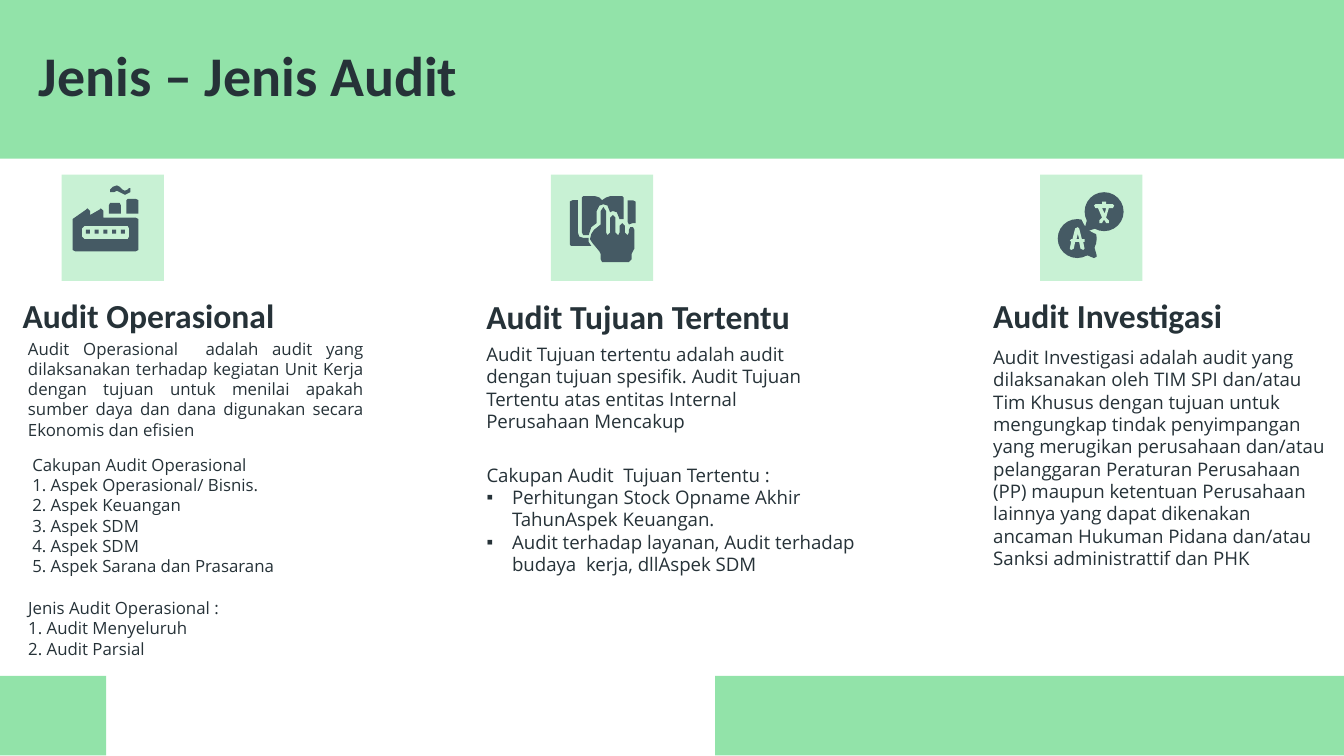
from lxml import etree
from pptx import Presentation
from pptx.dml.color import RGBColor
from pptx.enum.shapes import MSO_SHAPE
from pptx.enum.text import MSO_ANCHOR, MSO_AUTO_SIZE, PP_ALIGN
from pptx.oxml.ns import qn
from pptx.util import Inches, Pt

GREEN = RGBColor(0x92, 0xE3, 0xA9)
LIGHT = RGBColor(0xC8, 0xF1, 0xD4)
SLATE = RGBColor(0x45, 0x5A, 0x64)
INK = RGBColor(0x26, 0x32, 0x38)

FACTORY = [(54, 163), (64, 156), (65, 155), (67, 157), (67, 160), (74, 156), (75, 155),
           (77, 157), (77, 162), (101, 162), (103, 163), (103, 186), (101, 187),
           (56, 187), (54, 186)]
WINDOW_BAND = [(63, 168), (95, 168), (96, 170), (96, 176), (95, 178), (63, 178),
               (61, 176), (61, 170)]
SMOKE = [(82, 141), (84, 139), (87, 138), (89, 139), (91, 141), (93, 142), (95, 141),
         (96, 140), (97, 140), (97, 143), (95, 144), (93, 145), (91, 144), (89, 143),
         (87, 142), (85, 143), (83, 143), (82, 143)]
TALL_CHIMNEY = [(94, 149), (95, 148), (101, 148), (103, 149), (103, 159), (94, 159)]
LOW_CHIMNEY = [(81, 153), (82, 151), (89, 151), (90, 153), (90, 159), (81, 159)]

HAND = [(449, 154), (447, 157), (447, 167), (442, 171), (440, 174), (439, 178),
        (441, 181), (446, 187), (447, 189), (447, 193), (448, 195), (468, 195),
        (470, 193), (470, 189), (471, 187), (472, 185), (472, 171), (471, 169),
        (469, 169), (468, 171), (468, 173), (467, 175), (465, 173), (465, 168),
        (463, 166), (461, 168), (461, 173), (460, 175), (458, 173), (458, 162),
        (456, 160), (454, 162), (454, 173), (452, 175), (451, 173), (451, 157)]
RIGHT_COVER = [(467, 149), (467, 165), (468, 167), (471, 166), (473, 166), (473, 150),
               (471, 149)]
LEFT_COVER = [(426, 149), (424, 150), (424, 182), (425, 183), (440, 183), (438, 180),
              (438, 177), (434, 177), (431, 176), (430, 173), (430, 149)]
PAGES = [(434, 146), (433, 147), (433, 173), (434, 175), (438, 175), (440, 169),
         (444, 166), (444, 157), (446, 153), (449, 152), (452, 153), (454, 158),
         (456, 157), (459, 158), (461, 163), (464, 163), (464, 147), (463, 146),
         (454, 146), (451, 147), (448, 149), (446, 147), (443, 146)]

LOWER_TAIL = [(805, 191), (809, 190), (814, 192), (816, 191), (816, 190), (814, 183)]
UPPER_TAIL = [(809, 163), (807, 170), (808, 172), (809, 172), (815, 170)]
LATIN_LETTER = [(800, 170), (802, 169), (803, 170), (805, 178), (807, 178), (807, 180),
                (806, 180), (807, 185), (806, 186), (804, 185), (803, 180), (800, 180),
                (799, 185), (797, 186), (796, 185), (797, 180), (796, 179), (797, 178),
                (798, 178)]
LATIN_HOLE = [(802, 174), (801, 178), (803, 178)]
HAN_LETTER = [(820, 152), (820, 150), (823, 150), (823, 152), (828, 152), (829, 153),
              (828, 155), (825, 155), (823, 162), (825, 164), (825, 166), (823, 166),
              (822, 164), (821, 164), (820, 166), (818, 166), (818, 164), (820, 162),
              (817, 155), (815, 155), (814, 153), (815, 152)]
HAN_HOLE = [(820, 155), (822, 159), (823, 155)]


def paint(shape, color):
    shape.fill.solid()
    shape.fill.fore_color.rgb = color
    shape.line.fill.background()
    shape.shadow.inherit = False
    return shape


def add_block(shapes, kind, box, color):
    return paint(shapes.add_shape(kind, *map(Inches, box)), color)


def add_outline(shapes, contours, color=SLATE):
    first, *others = contours
    fb = shapes.build_freeform(*first[0], scale=Inches(0.01))
    fb.add_line_segments(first[1:], close=True)
    for contour in others:
        fb.move_to(*contour[0])
        fb.add_line_segments(contour[1:], close=True)
    paint(fb.convert_to_shape(), color)


def add_band(s, box):
    el = add_block(s.shapes, MSO_SHAPE.RECTANGLE, box, GREEN).element
    el.getparent().insert(2, el)


def set_bullet(p, char):
    pPr = p._p.get_or_add_pPr()
    indent = Inches(0.19) if char else 0
    pPr.set("marL", str(indent))
    pPr.set("indent", str(-indent))
    if char:
        etree.SubElement(pPr, qn("a:buChar")).set("char", char)
    else:
        etree.SubElement(pPr, qn("a:buNone"))


def fill_text(sp, box, lines, size, font="Open Sans", bold=False,
              align=PP_ALIGN.LEFT, bullets_from=None):
    sp.left, sp.top, sp.width, sp.height = map(Inches, box)
    tf = sp.text_frame
    tf.text = "\n".join(lines)
    tf.word_wrap = True
    tf.auto_size = MSO_AUTO_SIZE.NONE
    tf.vertical_anchor = MSO_ANCHOR.MIDDLE
    tf.margin_left = tf.margin_right = tf.margin_top = tf.margin_bottom = Inches(0.1)
    for i, p in enumerate(tf.paragraphs):
        p.alignment = align
        p.space_before = p.space_after = Pt(0)
        p.line_spacing = 1.0 if bold else Pt(size * 1.2)
        set_bullet(p, "▪" if bullets_from is not None and i >= bullets_from else None)
        for r in p.runs:
            r.font.size = Pt(size)
            r.font.name = font
            r.font.bold = bold
            r.font.color.rgb = INK


def add_text(s, box, lines, size, **style):
    fill_text(s.shapes.add_textbox(*map(Inches, box)), box, lines, size, **style)


def add_factory_icon(s):
    shapes = s.shapes.add_group_shape().shapes
    add_outline(shapes, [FACTORY, WINDOW_BAND])
    for part in (SMOKE, TALL_CHIMNEY, LOW_CHIMNEY):
        add_outline(shapes, [part])
    for i in range(5):
        box = (0.64 + 0.26 * i / 4, 1.71, 0.03, 0.03)
        add_block(shapes, MSO_SHAPE.RECTANGLE, box, SLATE)


def add_book_icon(s):
    shapes = s.shapes.add_group_shape().shapes
    for part in (HAND, RIGHT_COVER, LEFT_COVER, PAGES):
        add_outline(shapes, [part])


def add_language_icon(s):
    shapes = s.shapes.add_group_shape().shapes
    add_block(shapes, MSO_SHAPE.OVAL, (7.87, 1.63, 0.29, 0.29), SLATE)
    add_outline(shapes, [LOWER_TAIL])
    add_block(shapes, MSO_SHAPE.OVAL, (8.04, 1.41, 0.34, 0.34), LIGHT)
    add_block(shapes, MSO_SHAPE.OVAL, (8.07, 1.43, 0.29, 0.29), SLATE)
    add_outline(shapes, [UPPER_TAIL])
    add_outline(shapes, [LATIN_LETTER, LATIN_HOLE], LIGHT)
    add_outline(shapes, [HAN_LETTER, HAN_HOLE], LIGHT)


def main():
    prs = Presentation()
    prs.slide_width = Inches(10)
    prs.slide_height = prs.slide_width * 9 // 16
    s = prs.slides.add_slide(prs.slide_layouts[4])
    title, scope, types, goals, inquiry = s.placeholders

    for box in ((0, 0, 10, 1.18), (5.32, 5.03, 4.68, 0.59), (0, 5.03, 0.79, 0.59)):
        add_band(s, box)
    fill_text(title, (0.19, 0.24, 8.43, 0.63), ["Jenis – Jenis Audit"], 30,
              font="Calibri", bold=True)

    for i in range(3):
        add_block(s.shapes, MSO_SHAPE.RECTANGLE,
                  (0.46 + 3.64 * i, 1.3, 0.76, 0.79), LIGHT)
    add_factory_icon(s)
    add_book_icon(s)
    add_language_icon(s)

    for x, y, heading in ((0.07, 2.19, "Audit Operasional"),
                          (3.52, 2.2, "Audit Tujuan Tertentu"),
                          (7.29, 2.19, "Audit Investigasi")):
        add_text(s, (x, y, 2.65, 0.31), [heading], 18, font="Calibri", bold=True)

    add_text(s, (0.11, 2.54, 2.69, 0.71), [
        "Audit Operasional  adalah audit yang dilaksanakan terhadap kegiatan Unit Kerja "
        "dengan tujuan untuk menilai apakah sumber daya dan dana digunakan secara "
        "Ekonomis dan efisien"], 9, align=PP_ALIGN.JUSTIFY)
    fill_text(scope, (0.14, 3.33, 3.23, 1.01), [
        "Cakupan Audit Operasional", "1. Aspek Operasional/ Bisnis.",
        "2. Aspek Keuangan", "3. Aspek SDM", "4. Aspek SDM",
        "5. Aspek Sarana dan Prasarana"], 9)
    fill_text(types, (0.11, 4.32, 3.23, 0.71), [
        "Jenis Audit Operasional :", "1. Audit Menyeluruh", "2. Audit Parsial"], 9)

    add_text(s, (3.52, 2.53, 2.74, 0.71), [
        "Audit Tujuan tertentu adalah audit dengan tujuan spesifik. Audit Tujuan "
        "Tertentu atas entitas Internal Perusahaan Mencakup"], 10)
    fill_text(goals, (3.52, 3.36, 3.23, 1.01), [
        "Cakupan Audit  Tujuan Tertentu :",
        "Perhitungan Stock Opname Akhir  TahunAspek Keuangan.",
        "Audit terhadap layanan, Audit terhadap budaya  kerja, dllAspek SDM"], 10,
        bullets_from=1)
    fill_text(inquiry, (7.29, 3.05, 2.74, 0.71), [
        "Audit Investigasi adalah audit yang dilaksanakan oleh TIM SPI dan/atau Tim "
        "Khusus dengan tujuan untuk mengungkap tindak penyimpangan yang merugikan "
        "perusahaan dan/atau pelanggaran Peraturan Perusahaan (PP) maupun ketentuan "
        "Perusahaan lainnya yang dapat dikenakan ancaman Hukuman Pidana dan/atau "
        "Sanksi administrattif dan PHK"], 10)
    prs.save("out.pptx")


if __name__ == "__main__":
    main()
